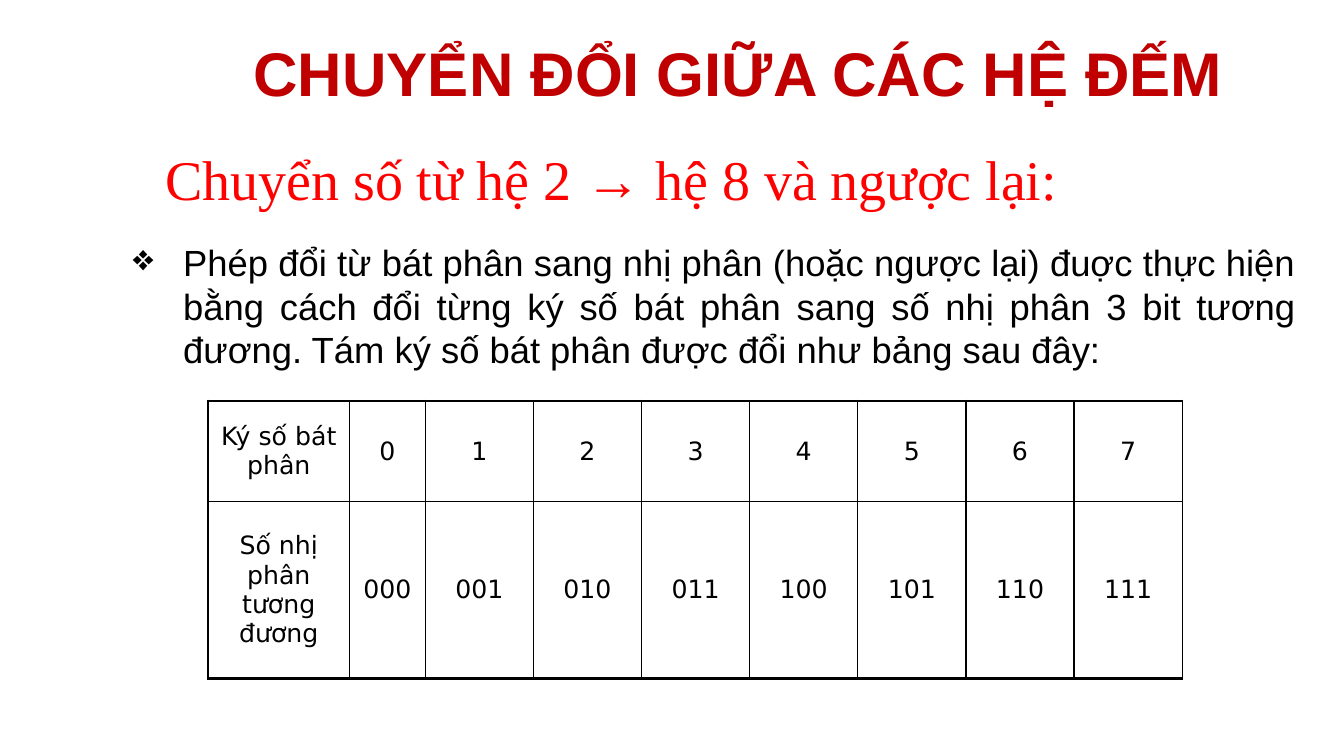
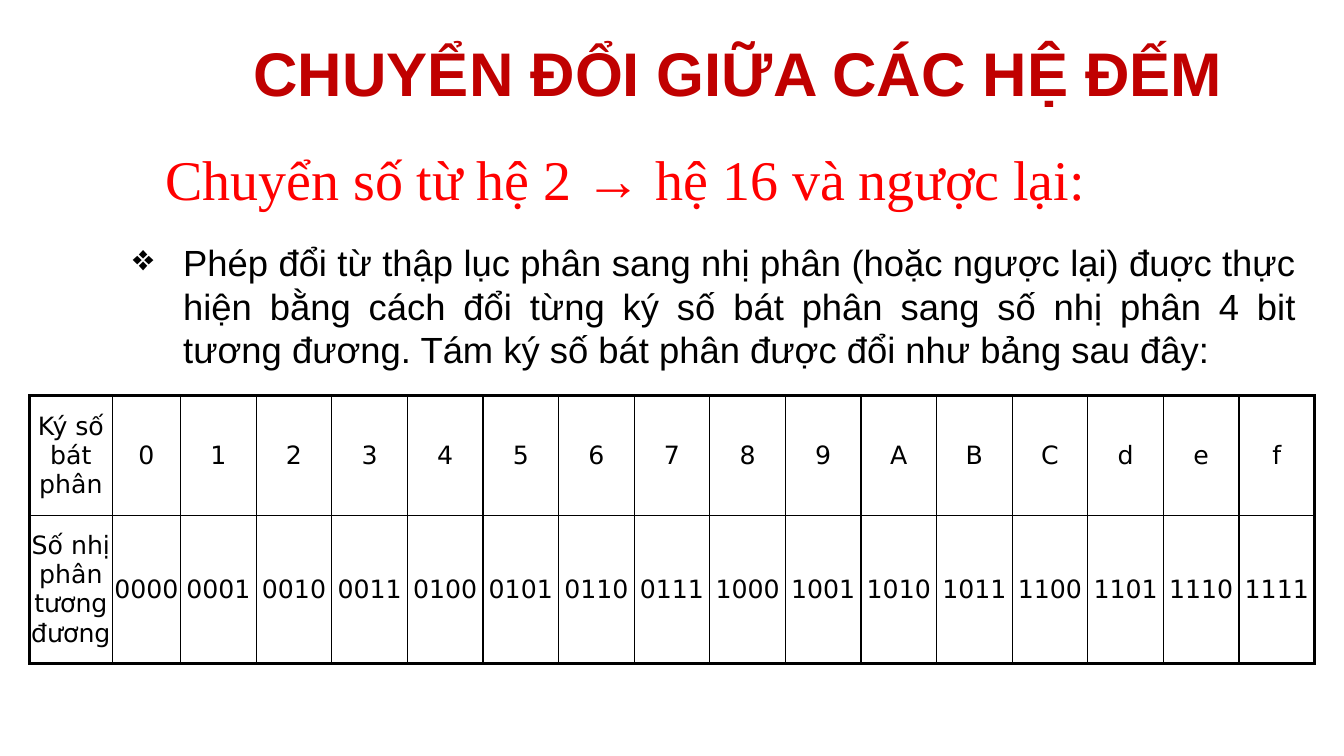
from lxml import etree
from pptx import Presentation
from pptx.dml.color import RGBColor
from pptx.enum.text import MSO_ANCHOR, PP_ALIGN
from pptx.oxml.ns import qn
from pptx.util import Pt

EMU_PER_PX = 9525
SLIDE_SIZE = (1280, 720)

DARK_RED = RGBColor(0xC0, 0x00, 0x00)
RED = RGBColor(0xFF, 0x00, 0x00)
BLACK = RGBColor(0x00, 0x00, 0x00)

CENTER, JUSTIFY, LEFT = PP_ALIGN.CENTER, PP_ALIGN.JUSTIFY, PP_ALIGN.LEFT
TOP, MIDDLE = MSO_ANCHOR.TOP, MSO_ANCHOR.MIDDLE

HEADING_FONT = {"name": "Arial", "size": Pt(44), "bold": True}
SUBHEADING_FONT = {"name": "Times New Roman", "size": Pt(40)}
BODY_FONT = {"name": "Arial", "size": Pt(26)}
CELL_FONT = {"name": "DejaVu Sans", "size": Pt(18)}
THIN, THICK = Pt(1), Pt(2.25)

HEADING = "CHUYỂN ĐỔI GIỮA CÁC HỆ ĐẾM"
ROW_LABELS = ("Ký số bát phân", "Số nhị phân tương đương")

CONVERSIONS = [
    {
        "base": 8, "source": "bát phân", "bits": 3, "digits": "01234567",
        "corner": (198, 382), "columns": [135, 72] + [103] * 7,
        "rows": [96, 168], "right_edge": THIN,
    },
    {
        "base": 16, "source": "thập lục phân", "bits": 4, "digits": "0123456789ABCdef",
        "corner": (28, 377), "columns": [79, 65] + [72] * 15,
        "rows": [114, 141], "right_edge": THICK,
    },
]


def px(length):
    return length * EMU_PER_PX


def apply(target, values):
    for attribute, value in values.items():
        setattr(target, attribute, value)


class Deck:
    def __init__(self):
        self.presentation = Presentation()
        self.presentation.slide_width, self.presentation.slide_height = map(px, SLIDE_SIZE)
        self.slide = None

    def new_slide(self):
        self.slide = self.presentation.slides.add_slide(self.presentation.slide_layouts[6])

    def set_text(self, paragraph, text, font, color, align):
        paragraph.text = text
        paragraph.alignment = align
        apply(paragraph.font, font)
        paragraph.font.color.rgb = color

    def text_frame(self, box, anchor=TOP):
        frame = self.slide.shapes.add_textbox(*map(px, box)).text_frame
        apply(frame, {"word_wrap": True, "vertical_anchor": anchor})
        return frame

    def heading(self, text):
        frame = self.text_frame((228, 22, 951, 120))
        frame.margin_top = px(11)
        self.set_text(frame.paragraphs[0], text, HEADING_FONT, DARK_RED, CENTER)

    def subheading(self, text):
        paragraph = self.text_frame((148, 142, 951, 64), MIDDLE).paragraphs[0]
        paragraph.line_spacing = 0.9
        self.set_text(paragraph, text, SUBHEADING_FONT, RED, LEFT)

    def bullet(self, text):
        paragraph = self.text_frame((70, 224, 1175, 135)).paragraphs[0]
        paragraph.level = 2
        properties = paragraph._p.get_or_add_pPr()
        properties.set("marL", str(px(95)))
        properties.set("indent", str(px(-48)))
        etree.SubElement(properties, qn("a:buChar")).set("char", "❖")
        self.set_text(paragraph, text, BODY_FONT, BLACK, JUSTIFY)

    def border(self, cell, side, width):
        line = etree.SubElement(cell._tc.get_or_add_tcPr(), qn(f"a:ln{side}"), w=str(width))
        fill = etree.SubElement(line, qn("a:solidFill"))
        etree.SubElement(fill, qn("a:srgbClr"), val=str(BLACK))

    def table(self, corner, columns, rows, content, right_edge):
        size = (sum(columns), sum(rows))
        table = self.slide.shapes.add_table(
            len(rows), len(columns), *map(px, corner + size)).table
        apply(table, {"first_row": False, "horz_banding": False})
        for column, width in zip(table.columns, columns):
            column.width = px(width)
        for row, height in zip(table.rows, rows):
            row.height = px(height)
        last_row, last_column = len(rows) - 1, len(columns) - 1
        for r, texts in enumerate(content):
            for c, text in enumerate(texts):
                cell = table.cell(r, c)
                widths = {
                    "L": THICK if c == 0 else THIN,
                    "R": right_edge if c == last_column else THIN,
                    "T": THICK if r == 0 else THIN,
                    "B": THICK if r == last_row else THIN,
                }
                for side, width in widths.items():
                    self.border(cell, side, width)
                cell.fill.background()
                apply(cell, {"vertical_anchor": MIDDLE, "margin_left": 0, "margin_right": 0,
                             "margin_top": 0, "margin_bottom": 0})
                self.set_text(cell.text_frame.paragraphs[0], text, CELL_FONT, BLACK, CENTER)


def add_conversion(deck, base, source, bits, digits, corner, columns, rows, right_edge):
    deck.new_slide()
    deck.heading(HEADING)
    deck.subheading(f"Chuyển số từ hệ 2 → hệ {base} và ngược lại:")
    deck.bullet(
        f"Phép đổi từ {source} sang nhị phân (hoặc ngược lại) đuợc thực hiện bằng cách "
        f"đổi từng ký số bát phân sang số nhị phân {bits} bit tương đương. "
        "Tám ký số bát phân được đổi như bảng sau đây:")
    binaries = [format(value, f"0{bits}b") for value in range(base)]
    content = [[label, *values] for label, values in zip(ROW_LABELS, (digits, binaries))]
    deck.table(corner, columns, rows, content, right_edge)


def main():
    deck = Deck()
    for conversion in CONVERSIONS:
        add_conversion(deck, **conversion)
    deck.presentation.save("out.pptx")


if __name__ == "__main__":
    main()
